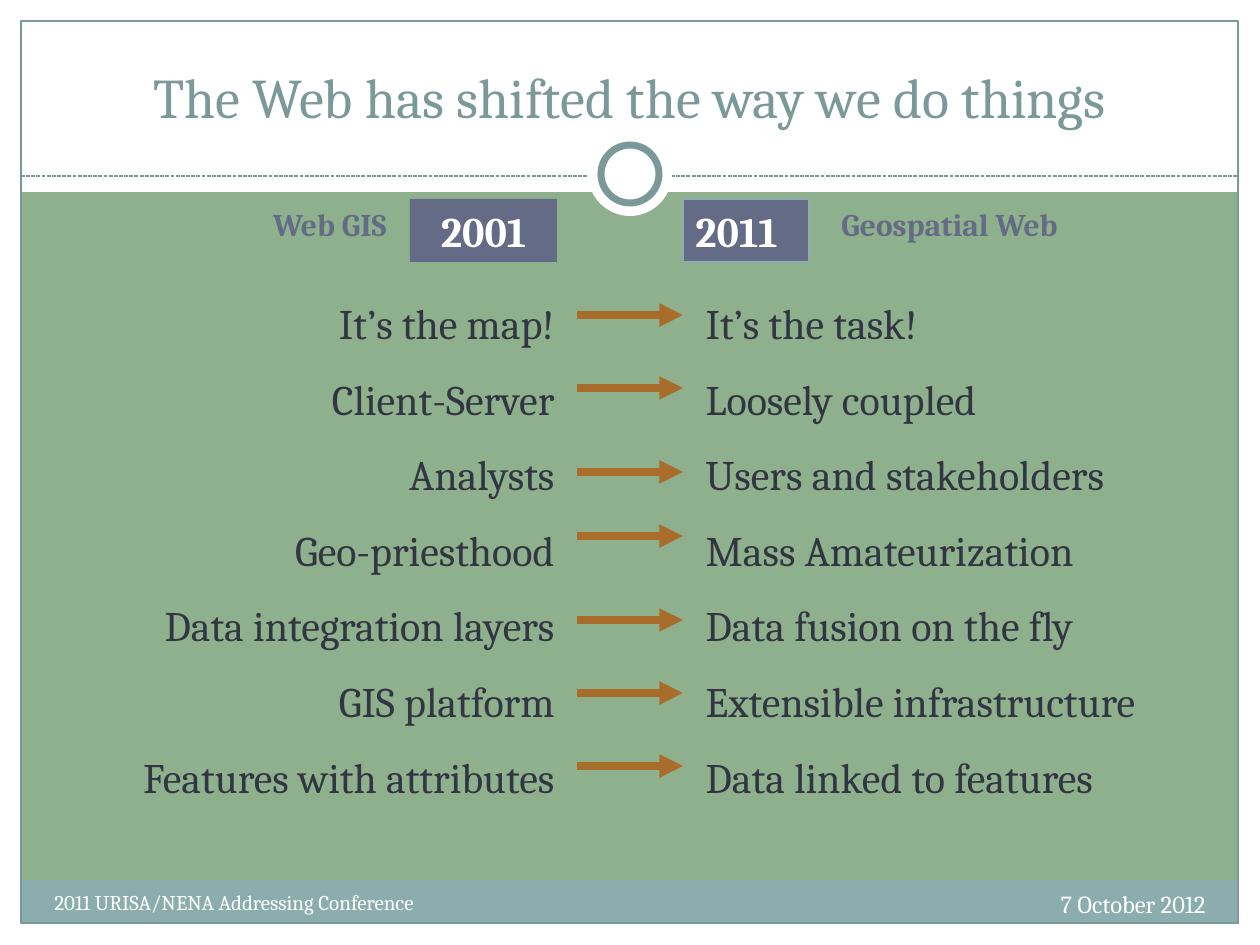
from lxml.etree import SubElement
from pptx import Presentation
from pptx.dml.color import RGBColor
from pptx.enum.dml import MSO_LINE
from pptx.enum.shapes import MSO_CONNECTOR, MSO_SHAPE
from pptx.enum.text import MSO_ANCHOR, MSO_AUTO_SIZE, PP_ALIGN
from pptx.oxml.ns import qn
from pptx.util import Emu, Pt

EMU_PER_PX = 914400 / 126
FONT = "Cambria"
COLORS = {
    "background": "8FB08C",
    "white": "FFFFFF",
    "footer": "8CADAE",
    "frame": "7C999A",
    "year": "646B86",
    "text": "323643",
    "arrow": "A96D2B",
}
ROWS = [
    ("It’s the map!", "It’s the task!", 315),
    ("Client-Server", "Loosely coupled", 388),
    ("Analysts", "Users and stakeholders", 472),
    ("Geo-priesthood", "Mass Amateurization", 536),
    ("Data integration layers", "Data fusion on the fly", 620),
    ("GIS platform", "Extensible infrastructure", 693),
    ("Features with attributes", "Data linked to features", 766),
]


def px(*values):
    return [Emu(round(v * EMU_PER_PX)) for v in values]


def color(name):
    return RGBColor.from_string(COLORS[name])


def write(tf, lines, size, fill, align=PP_ALIGN.LEFT, bold=False,
          spacing=1.0, anchor=MSO_ANCHOR.TOP):
    tf.word_wrap = True
    tf.auto_size = MSO_AUTO_SIZE.NONE
    tf.vertical_anchor = anchor
    for i, line in enumerate(lines):
        p = tf.add_paragraph() if i else tf.paragraphs[0]
        p.alignment = align
        p.line_spacing = spacing
        p.space_before = Pt(0)
        r = p.add_run()
        r.text = line
        r.font.name = FONT
        r.font.size = Pt(size)
        r.font.bold = bold
        r.font.color.rgb = color(fill)


def add_box(s, box, fill=None, line=None, width=0.75, kind=MSO_SHAPE.RECTANGLE):
    sp = s.shapes.add_shape(kind, *px(*box))
    sp.shadow.inherit = False
    if fill:
        sp.fill.solid()
        sp.fill.fore_color.rgb = color(fill)
    else:
        sp.fill.background()
    if line:
        sp.line.color.rgb = color(line)
        sp.line.width = Pt(width)
    else:
        sp.line.fill.background()
    return sp


def add_line(s, x1, x2, y, stroke, width, dash=None, arrow=False):
    c = s.shapes.add_connector(MSO_CONNECTOR.STRAIGHT, *px(x1, y, x2, y))
    c.line.color.rgb = color(stroke)
    c.line.width = Pt(width)
    if dash:
        c.line.dash_style = dash
    spPr = c.element.spPr
    if arrow:
        SubElement(spPr.find(qn("a:ln")), qn("a:tailEnd"), type="triangle")
    SubElement(spPr, qn("a:effectLst"))


def add_text(s, box, text, size, fill, **fmt):
    sp = s.shapes.add_textbox(*px(*box))
    write(sp.text_frame, [text], size, fill, **fmt)


def fill_placeholder(s, sp, box, lines, size, fill, **fmt):
    sp.left, sp.top, sp.width, sp.height = px(*box)
    s.shapes.element.append(sp.element)
    write(sp.text_frame, lines, size, fill, **fmt)


def fill_list(s, sp, box, lines, align):
    fill_placeholder(s, sp, box, lines, 24, "text", align=align, spacing=1.5)
    for p in sp.text_frame.paragraphs:
        pPr = p._p.get_or_add_pPr()
        pPr.set("marL", "0")
        pPr.set("indent", "0")
        SubElement(pPr, qn("a:buNone"))


def add_frame(s):
    s.background.fill.solid()
    s.background.fill.fore_color.rgb = color("background")
    for box in [(0, 924, 1260, 21), (0, 0, 1260, 192),
                (0, 0, 21, 945), (1239, 0, 21, 945)]:
        add_box(s, box, "white")
    add_box(s, (21, 880, 1217, 43), "footer")
    add_box(s, (21, 21, 1217, 902), line="frame")
    add_line(s, 21, 1239, 176, "frame", 0.75, dash=MSO_LINE.SQUARE_DOT)
    add_box(s, (588, 132, 84, 84), "white", kind=MSO_SHAPE.OVAL)
    add_box(s, (601, 145, 58, 58), "white", "frame", 4, MSO_SHAPE.OVAL)


def add_year(s, box, year, align, line=None):
    sp = add_box(s, box, "year", line)
    write(sp.text_frame, [year], 24, "white", align=align, bold=True)


def main():
    prs = Presentation()
    prs.slide_width, prs.slide_height = px(1260, 945)
    s = prs.slides.add_slide(prs.slide_layouts[3])
    title, left, right = list(s.placeholders)
    befores, afters, arrow_ys = zip(*ROWS)

    add_frame(s)
    fill_placeholder(s, title, (42, 31, 1176, 105),
                     ["The Web has shifted the way we do things"], 32, "frame",
                     align=PP_ALIGN.CENTER, anchor=MSO_ANCHOR.BOTTOM)
    add_text(s, (798, 883, 420, 50), "7 October 2012", 14, "white",
             align=PP_ALIGN.RIGHT)
    add_text(s, (42, 883, 494, 50), "2011 URISA/NENA Addressing Conference",
             12, "white")
    fill_list(s, left, (63, 266, 504, 547), befores, PP_ALIGN.RIGHT)
    fill_list(s, right, (693, 266, 525, 547), afters, PP_ALIGN.LEFT)
    add_year(s, (410, 199, 147, 63), "2001", PP_ALIGN.CENTER)
    add_year(s, (683, 199, 126, 63), "2011", PP_ALIGN.LEFT, "footer")
    for y in arrow_ys:
        add_line(s, 577, 683, y, "arrow", 4.5, arrow=True)
    add_text(s, (829, 199, 410, 50), "Geospatial Web", 18, "year", bold=True)
    add_text(s, (231, 199, 168, 50), "Web GIS", 18, "year", bold=True,
             align=PP_ALIGN.RIGHT)
    prs.save("out.pptx")


if __name__ == "__main__":
    main()
